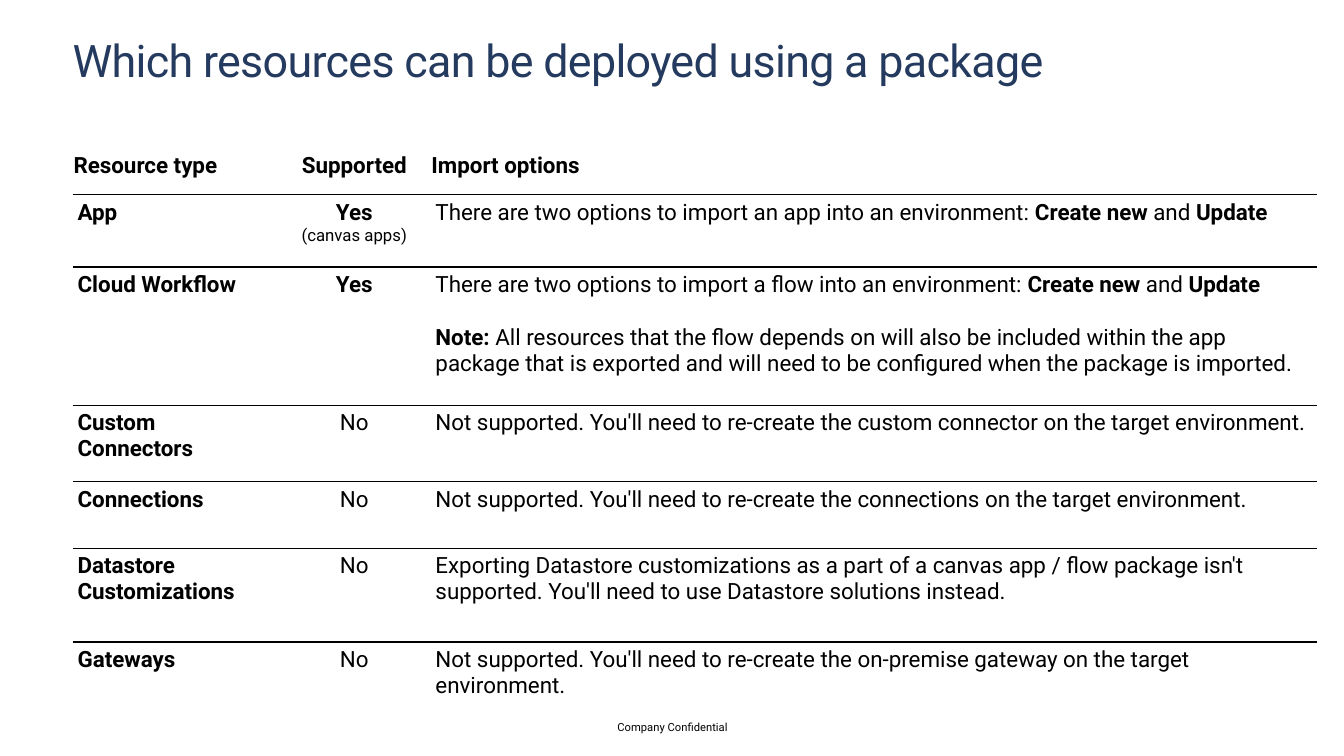
from lxml import etree
from pptx import Presentation, util as u
from pptx.dml.color import RGBColor
from pptx.enum import text
from pptx.oxml.ns import qn

COLORS = {"title": "243A5E", "ink": "000000", "paper": "FFFFFF"}
FONT = "Roboto"

presentation = Presentation()
presentation.slide_width = u.Inches(13.33)
presentation.slide_height = u.Inches(7.5)
column = presentation.slide_width / 100
row = presentation.slide_height / 100
slide = presentation.slides.add_slide(presentation.slide_layouts[5])


def write(paragraph, marked, size, color="ink", bold=False):
    for index, part in enumerate(marked.split("**")):
        if part:
            run = paragraph.add_run()
            run.text = part
            run.font.name = FONT
            run.font.size = u.Pt(size)
            run.font.bold = bold or index % 2 == 1
            run.font.color.rgb = RGBColor.from_string(COLORS[color])


def place(shape, left, top, width, height):
    shape.left, shape.width = int(left * column), int(width * column)
    shape.top, shape.height = int(top * row), int(height * row)
    frame = shape.text_frame
    frame.margin_left = frame.margin_right = frame.margin_top = frame.margin_bottom = 0
    frame.word_wrap = True
    return frame


title = slide.shapes.title
title.fill.solid()
title.fill.fore_color.rgb = RGBColor.from_string(COLORS["paper"])
title_frame = place(title, 5.4, 4.67, 89.27, 6.67)
title_frame.vertical_anchor = text.MSO_ANCHOR.TOP
paragraph = title_frame.paragraphs[0]
paragraph.alignment = text.PP_ALIGN.LEFT
paragraph.line_spacing = u.Pt(36.2)
write(paragraph, "Which resources can be deployed using a package", 32, "title")
paragraph.runs[0].font._element.set("spc", "-50")

resources = [
    ["**Resource type**", "**Supported**", "**Import options**"],
    ["**App**", "**Yes**\n(canvas apps)",
     "There are two options to import an app into an environment: **Create new** and **Update**"],
    ["**Cloud Workflow**", "**Yes**",
     "There are two options to import a flow into an environment: **Create new** and **Update**\n"
     "**Note:** All resources that the flow depends on will also be included within the app "
     "package that is exported and will need to be configured when the package is imported."],
    ["**Custom Connectors**", "No",
     "Not supported. You'll need to re-create the custom connector on the target environment."],
    ["**Connections**", "No",
     "Not supported. You'll need to re-create the connections on the target environment."],
    ["**Datastore Customizations**", "No",
     "Exporting Datastore customizations as a part of a canvas app / flow package isn't "
     "supported. You'll need to use Datastore solutions instead."],
    ["**Gateways**", "No",
     "Not supported. You'll need to re-create the on-premise gateway on the target environment."],
]
column_shares = [15.3, 11.33, 65.94]
row_shares = [7.6, 9.6, 18.27, 10.13, 8.8, 12.4, 10]

table = slide.shapes.add_table(
    len(row_shares), len(column_shares), int(5.4 * column), int(18.13 * row),
    int(sum(column_shares) * column), int(sum(row_shares) * row)).table
table.first_row = table.horz_banding = False
for index, share in enumerate(column_shares):
    table.columns[index].width = int(share * column)
for index, share in enumerate(row_shares):
    table.rows[index].height = int(share * row)

last = len(resources) - 1
for row_index, resource in enumerate(resources):
    header = row_index == 0
    ruled = {"a:lnL": False, "a:lnR": False, "a:lnT": not header, "a:lnB": row_index < last}
    for column_index, content in enumerate(resource):
        cell = table.cell(row_index, column_index)
        cell.margin_left = cell.margin_right = u.Inches(0.01 if header else 0.05)
        cell.margin_top = cell.margin_bottom = u.Inches(0 if header else 0.05)
        cell.vertical_anchor = text.MSO_ANCHOR.MIDDLE if header else text.MSO_ANCHOR.TOP
        properties = cell._tc.get_or_add_tcPr()
        for side, visible in ruled.items():
            line = etree.SubElement(properties, qn(side), w=str(u.Pt(1)))
            if visible:
                fill = etree.SubElement(line, qn("a:solidFill"))
                etree.SubElement(fill, qn("a:srgbClr"), val=COLORS["ink"])
            else:
                etree.SubElement(line, qn("a:noFill"))
        cell.fill.background()
        for index, marked in enumerate(content.split("\n")):
            frame = cell.text_frame
            paragraph = frame.add_paragraph() if index else frame.paragraphs[0]
            centered = column_index == 1
            paragraph.alignment = text.PP_ALIGN.CENTER if centered else text.PP_ALIGN.LEFT
            if index and not centered:
                paragraph.space_before = u.Pt(18.75)
            write(paragraph, marked, 12 if index and centered else 16)

footer = slide.shapes.add_textbox(0, 0, 0, 0)
footer_frame = place(footer, 33.16, 95.33, 33.76, 1.73)
footer_frame.vertical_anchor = text.MSO_ANCHOR.MIDDLE
paragraph = footer_frame.paragraphs[0]
paragraph.alignment = text.PP_ALIGN.CENTER
write(paragraph, "Company Confidential", 8)

presentation.save("out.pptx")
